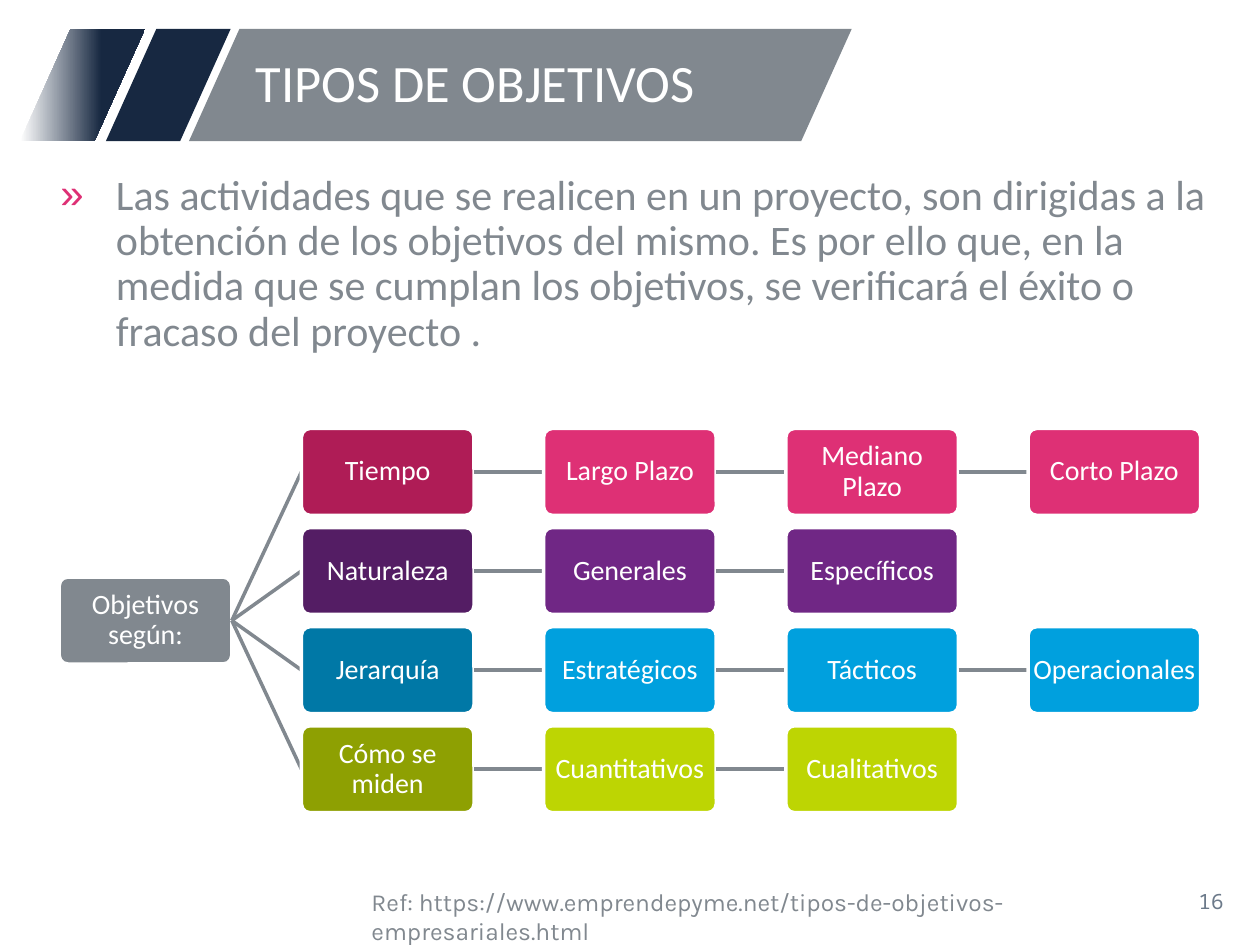
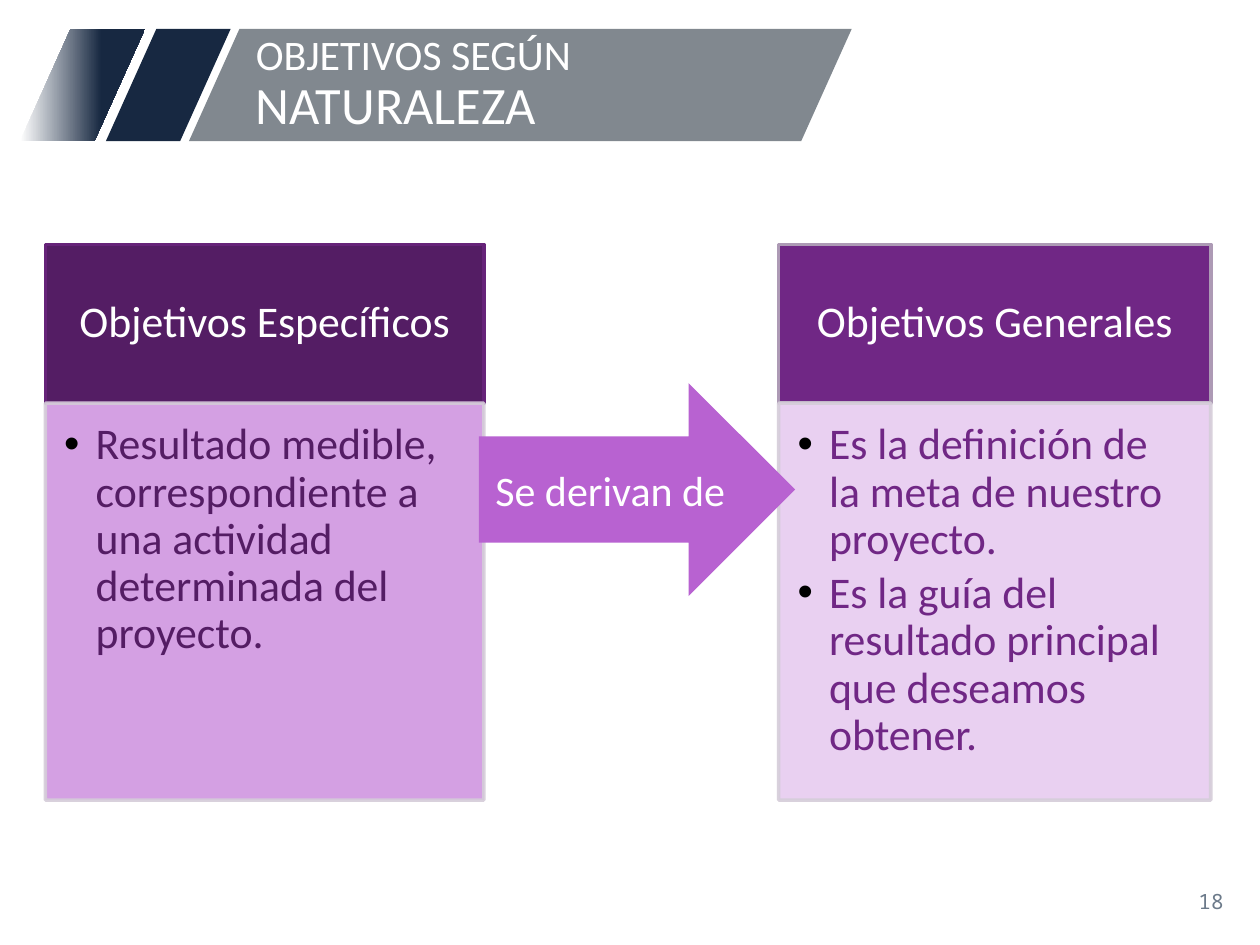
from lxml import etree
from pptx import Presentation
from pptx.dml.color import RGBColor
from pptx.enum.shapes import MSO_CONNECTOR, MSO_SHAPE
from pptx.enum.text import MSO_ANCHOR, MSO_AUTO_SIZE, PP_ALIGN
from pptx.oxml.ns import qn
from pptx.util import Inches, Pt

LEFT, CENTER, RIGHT = PP_ALIGN.LEFT, PP_ALIGN.CENTER, PP_ALIGN.RIGHT
TOP, MIDDLE = MSO_ANCHOR.TOP, MSO_ANCHOR.MIDDLE
RECT, ROUND = MSO_SHAPE.RECTANGLE, MSO_SHAPE.ROUNDED_RECTANGLE
SLANT, ARROW = MSO_SHAPE.PARALLELOGRAM, MSO_SHAPE.RIGHT_ARROW
STRAIGHT = MSO_CONNECTOR.STRAIGHT
NO_FIT = MSO_AUTO_SIZE.NONE
LEFT_SIDE, RIGHT_SIDE = 1, 3

WHITE = RGBColor(0xFF, 0xFF, 0xFF)
BLACK = RGBColor(0x00, 0x00, 0x00)
NAVY = RGBColor(0x17, 0x28, 0x41)
GRAY = RGBColor(0x81, 0x88, 0x8F)
SLATE = RGBColor(0x6C, 0x7A, 0x8A)
PINK = RGBColor(0xDE, 0x30, 0x75)
WINE = RGBColor(0xAF, 0x1C, 0x56)
PURPLE = RGBColor(0x70, 0x27, 0x85)
PLUM = RGBColor(0x54, 0x1D, 0x64)
PLUM_EDGE = RGBColor(0x66, 0x23, 0x79)
MAUVE_EDGE = RGBColor(0xAD, 0x9A, 0xB5)
PALE_EDGE = RGBColor(0xD5, 0xCD, 0xD9)
LILAC = RGBColor(0xD0, 0x96, 0xE0)
PALE = RGBColor(0xE7, 0xCB, 0xF0)
ORCHID = RGBColor(0xB8, 0x62, 0xD1)
BLUE = RGBColor(0x00, 0xA0, 0xDE)
DEEP_BLUE = RGBColor(0x00, 0x78, 0xA6)
LIME = RGBColor(0xBD, 0xD5, 0x03)
OLIVE = RGBColor(0x8E, 0xA0, 0x02)

MAIN_FONT, REF_FONT, PAGE_FONT = "Calibri", "Karla", "Noto Sans Mono"

GRID_LEFT, GRID_TOP = 0.47, 3.4
COL_STEP, ROW_STEP = 7.69 / 4, 2.36 / 3
NODE_W, NODE_H = 1.37, 0.69

GOALS = [
    (WINE, PINK, ["Tiempo", "Largo Plazo", "Mediano Plazo", "Corto Plazo"]),
    (PLUM, PURPLE, ["Naturaleza", "Generales", "Específicos"]),
    (DEEP_BLUE, BLUE, ["Jerarquía", "Estratégicos", "Tácticos", "Operacionales"]),
    (OLIVE, LIME, ["Cómo se miden", "Cuantitativos", "Cualitativos"]),
]


def apply(target, **values):
    for name, value in values.items():
        setattr(target, name, value)


def place(shape, *box):
    names = ("left", "top", "width", "height")
    apply(shape, **{name: Inches(v) for name, v in zip(names, box)})


def set_frame(frame, anchor=TOP, insets=(0.1, 0.05, 0.1, 0.05)):
    names = ("margin_left", "margin_top", "margin_right", "margin_bottom")
    apply(frame, word_wrap=True, auto_size=NO_FIT, vertical_anchor=anchor,
          **{name: Inches(v) for name, v in zip(names, insets)})


def set_font(font, size, color, name=MAIN_FONT):
    apply(font, size=Pt(size), name=name, bold=False)
    font.color.rgb = color


def write(frame, lines, size, color, align=LEFT, name=MAIN_FONT,
          spacing=0.9, after=0, bullet=None):
    """Fill a frame with paragraphs; bullet is (char, colour, indent, hang)."""
    for i, line in enumerate(lines):
        para = frame.paragraphs[0] if i == 0 else frame.add_paragraph()
        apply(para, alignment=align, line_spacing=spacing,
              space_before=Pt(0), space_after=Pt(after))
        if bullet:
            add_bullet(para, *bullet)
        run = para.add_run()
        run.text = line
        set_font(run.font, size, color, name)


def add_bullet(para, char, color, indent, hang):
    props = para._p.get_or_add_pPr()
    props.set("marL", str(Inches(indent)))
    props.set("indent", str(-Inches(hang)))
    tint = etree.SubElement(props, qn("a:buClr"))
    etree.SubElement(tint, qn("a:srgbClr"), val=str(color))
    etree.SubElement(props, qn("a:buFont"), typeface="Arial")
    etree.SubElement(props, qn("a:buChar"), char=char)


def add_box(slide, kind, box, fill, edge=None):
    shape = slide.shapes.add_shape(kind, *(Inches(v) for v in box))
    shape.shadow.inherit = False
    shape.fill.solid()
    shape.fill.fore_color.rgb = fill
    if edge is None:
        shape.line.fill.background()
    else:
        shape.line.color.rgb = edge
        shape.line.width = Pt(2)
    return shape


def fade(shape, percent):
    """Make the fill and line of a shape partly transparent."""
    for color in shape.element.spPr.iter(qn("a:srgbClr")):
        etree.SubElement(color, qn("a:alpha"), val=str(percent * 1000))


def add_bands(slide, master):
    """Draw the title bands and move them behind everything, to the master."""
    for left, width, color in ((0.84, 0.99, NAVY), (0.16, 0.99, None), (1.5, 5.26, GRAY)):
        band = add_box(slide, SLANT, (left, 0.23, width, 0.89), color or NAVY)
        band.adjustments[0] = 0.45
        if color is None:
            band.fill.gradient()
            band.fill.gradient_angle = 0
            for stop, (spot, tint) in zip(band.fill.gradient_stops, ((0, WHITE), (0.65, NAVY))):
                stop.position = spot
                stop.color.rgb = tint
        master.shapes.element.insert(2, band.element)


def add_text(slide, box, text, size, color, name, align=LEFT, anchor=TOP):
    frame = slide.shapes.add_textbox(*(Inches(v) for v in box)).text_frame
    set_frame(frame, anchor)
    write(frame, [text], size, color, align, name, spacing=1)


def add_slide(deck, layout, title, page):
    """Add a slide; title is a list of (text, size) runs."""
    slide = deck.slides.add_slide(deck.slide_layouts[layout])
    head = slide.shapes.title
    place(head, 1.93, 0.23, 4.69, 0.89)
    set_frame(head.text_frame, MIDDLE)
    para = head.text_frame.paragraphs[0]
    apply(para, alignment=LEFT, line_spacing=0.9)
    for text, size in title:
        run = para.add_run()
        run.text = text
        set_font(run.font, size, WHITE)
    add_text(slide, (7.56, 6.95, 2.25, 0.4), page, 12, SLATE, PAGE_FONT, RIGHT, MIDDLE)
    return slide


def add_node(slide, text, col, row, fill, parent=None):
    """Add a tree box; its link to the parent lies behind it."""
    if parent is not None:
        link = slide.shapes.add_connector(STRAIGHT, 0, 0, 0, 0)
    box = (GRID_LEFT + col * COL_STEP, GRID_TOP + row * ROW_STEP, NODE_W, NODE_H)
    node = add_box(slide, ROUND, box, fill, WHITE)
    node.adjustments[0] = 0.1
    set_frame(node.text_frame, MIDDLE, (0.01,) * 4)
    write(node.text_frame, [text], 16, WHITE, CENTER)
    if parent is not None:
        link.begin_connect(parent, RIGHT_SIDE)
        link.end_connect(node, LEFT_SIDE)
        link.line.color.rgb = GRAY
        link.line.width = Pt(2)
        etree.SubElement(link.element.spPr, qn("a:effectLst"))
    return node


def add_card(slide, left, width, head, points, dark, edge, light):
    top = add_box(slide, RECT, (left, 1.94, width, 1.26), dark, edge)
    set_frame(top.text_frame, MIDDLE, (0.19, 0.11, 0.19, 0.11))
    write(top.text_frame, [head], 25, WHITE, CENTER)
    body = add_box(slide, RECT, (left, 3.2, width, 3.15), light, PALE_EDGE)
    fade(body, 90)
    set_frame(body.text_frame, TOP, (0.15, 0.15, 0.19, 0.22))
    write(body.text_frame, points, 25, dark, after=4, bullet=("•", BLACK, 0.25, 0.25))


def build_types(deck):
    slide = add_slide(deck, 1, [("TIPOS DE OBJETIVOS", 30)], "16")
    add_bands(slide, deck.slide_master)
    body = slide.placeholders[1]
    place(body, 0.32, 1.33, 9.36, 5.62)
    set_frame(body.text_frame)
    write(body.text_frame, [
        "Las actividades que se realicen en un proyecto, son dirigidas a la "
        "obtención de los objetivos del mismo. Es por ello que, en la medida que "
        "se cumplan los objetivos, se verificará el éxito o fracaso del proyecto ."
    ], 24, GRAY, bullet=("»", PINK, 0.5, 0.44))
    add_text(slide, (2.85, 6.99, 6.54, 0.34),
             "Ref: https://www.emprendepyme.net/tipos-de-objetivos-empresariales.html",
             14, GRAY, REF_FONT)
    root = add_node(slide, "Objetivos según:", 0, 1.5, GRAY)
    for row, (dark, bright, labels) in enumerate(GOALS):
        parent = root
        for col, label in enumerate(labels, 1):
            fill = dark if col == 1 else bright
            parent = add_node(slide, label, col, row, fill, parent)


def build_nature(deck):
    slide = add_slide(deck, 5, [("OBJETIVOS SEGÚN ", 24), ("NATURALEZA", 30)], "18")
    add_card(slide, 0.36, 3.48, "Objetivos Específicos",
             ["Resultado medible, correspondiente a una actividad determinada del proyecto."],
             PLUM, PLUM_EDGE, LILAC)
    add_card(slide, 6.18, 3.43, "Objetivos Generales",
             ["Es la definición de la meta de nuestro proyecto.",
              "Es la guía del resultado principal que deseamos obtener."],
             PURPLE, MAUVE_EDGE, PALE)
    arrow = add_box(slide, ARROW, (3.8, 3.04, 2.51, 1.69), ORCHID)
    set_frame(arrow.text_frame, MIDDLE)
    write(arrow.text_frame, ["Se derivan de"], 24, WHITE, CENTER, spacing=1)


def main():
    deck = Presentation()
    apply(deck, slide_width=Inches(10), slide_height=Inches(7.5))
    build_types(deck)
    build_nature(deck)
    deck.save("out.pptx")


if __name__ == "__main__":
    main()
